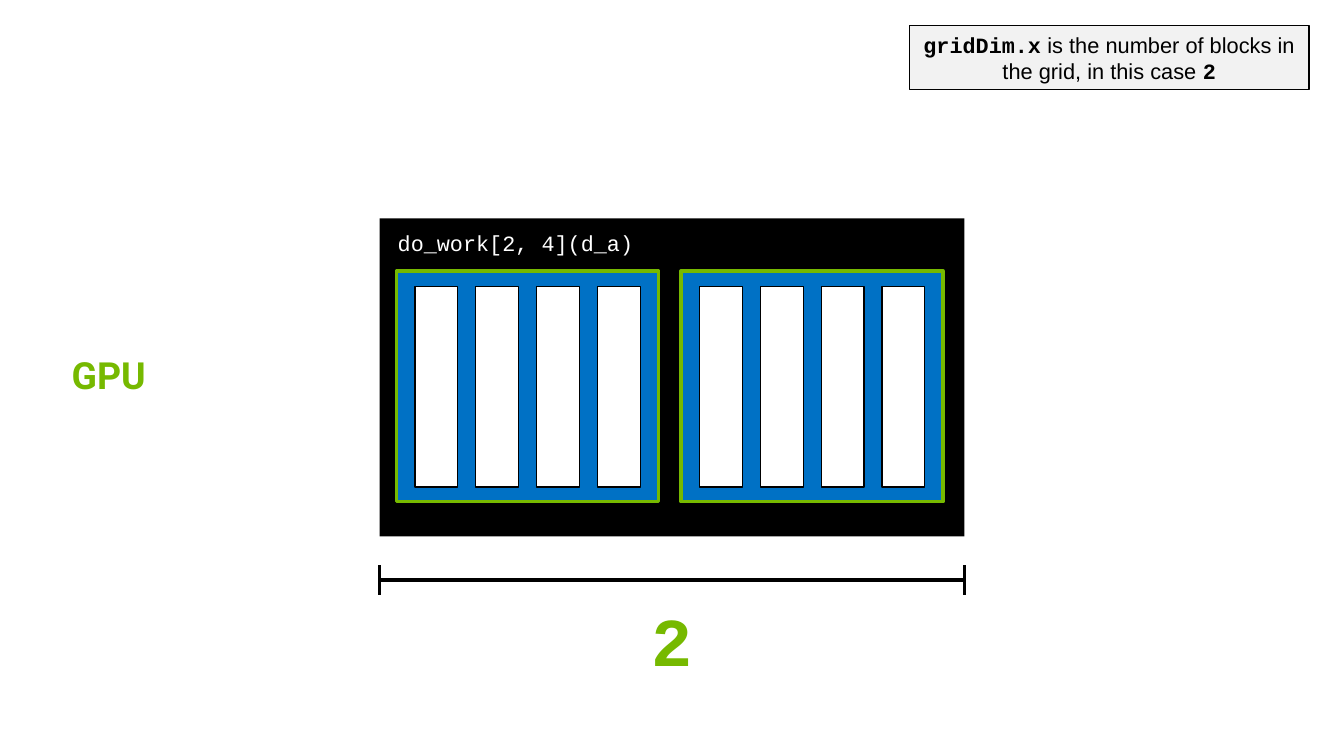
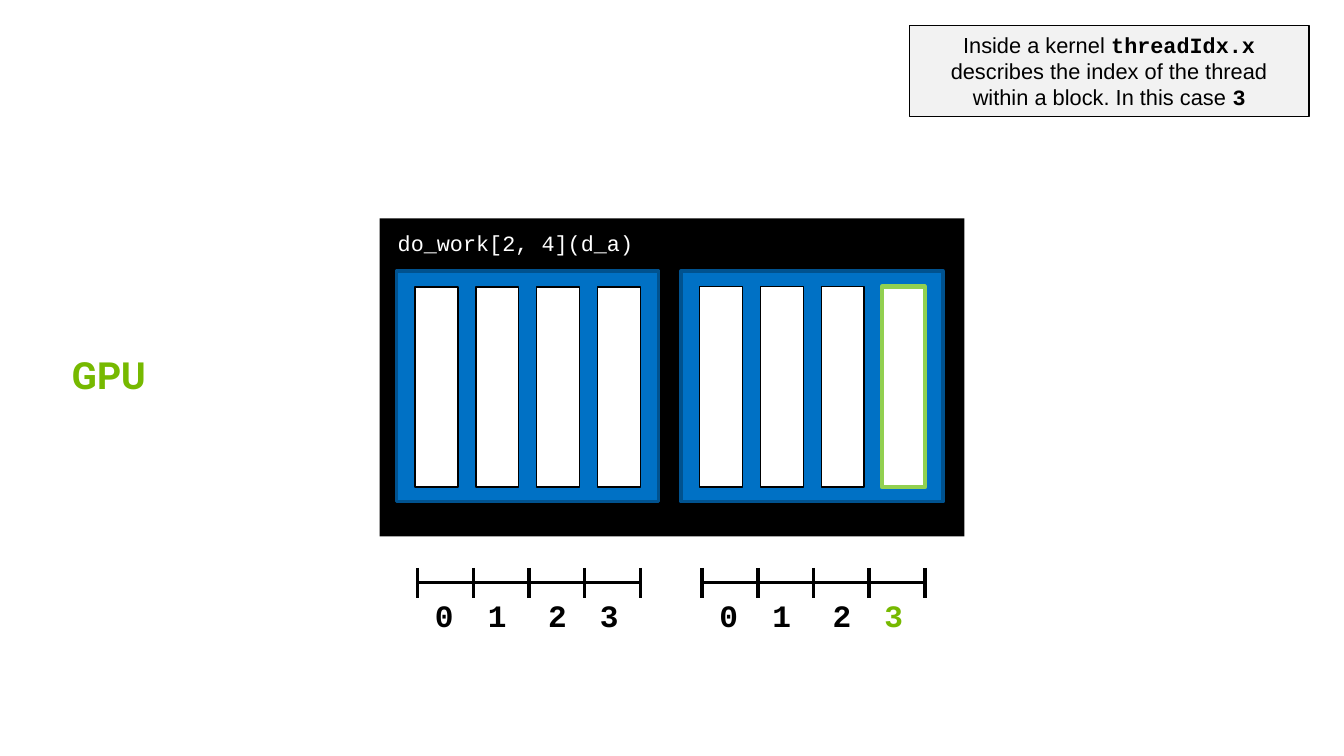
from lxml import etree
from pptx import Presentation
from pptx import util as u
from pptx.dml.color import RGBColor
from pptx.enum import shapes, text
from pptx.oxml import ns

BLACK = RGBColor(0x00, 0x00, 0x00)
WHITE = RGBColor(0xFF, 0xFF, 0xFF)
GREEN = RGBColor(0x76, 0xB9, 0x00)
LIME = RGBColor(0x92, 0xD0, 0x50)
BLUE = RGBColor(0x00, 0x71, 0xC5)
NAVY = RGBColor(0x00, 0x52, 0x8F)
PALE = RGBColor(0xF2, 0xF2, 0xF2)
SANS, MONO, TITLE_FONT = "Arial", "Courier New", "Roboto"

FRAME_LEFT, FRAME_TOP, FRAME_WIDTH, FRAME_HEIGHT = 244, 140.4, 376, 204.5
BLOCK_LEFTS = [254.9, 437.8]
THREADS = 4
THREAD_INSET, THREAD_PITCH = 11.9, 39.1
INDEX_OFFSETS = [11.9, 46, 84.7, 118.1]
RULER_INSET, RULER_PITCH = 13.6, 35.8


def write(box, runs, size=14, color=BLACK, bold=False,
          align=text.PP_ALIGN.CENTER, anchor=text.MSO_ANCHOR.MIDDLE, spacing=None):
    frame = box.text_frame
    frame.word_wrap = True
    frame.auto_size = text.MSO_AUTO_SIZE.NONE
    frame.vertical_anchor = anchor
    para = frame.paragraphs[0]
    para.alignment = align
    para.line_spacing = spacing
    for words, font, strong in runs:
        span = para.add_run()
        span.text = words
        span.font.name = font
        span.font.size = u.Pt(size)
        span.font.bold = bold or strong
        span.font.color.rgb = color


def draw_ruler(page, left, middle, pitch, segments):
    right = left + pitch * segments
    strokes = [(left, middle, right, middle)]
    for step in range(segments + 1):
        tick = left + step * pitch
        strokes.append((tick, middle - 9.6, tick, middle + 9.6))
    for ends in strokes:
        stroke = page.shapes.add_connector(
            shapes.MSO_CONNECTOR.STRAIGHT, *[u.Pt(end) for end in ends])
        stroke.line.color.rgb = BLACK
        stroke.line.width = u.Pt(2.25)
        etree.SubElement(stroke._element.spPr, ns.qn("a:effectLst"))


deck = Presentation()
deck.slide_width, deck.slide_height = u.Pt(864), u.Pt(486)

slides = [
    {
        "note": [("gridDim.x", MONO, True),
                 (" is the number of blocks in the grid, in this case ", SANS, False),
                 ("2", MONO, True)],
        "note_height": 41,
        "block_line": GREEN,
        "thread_widths": [0.75, 0.75],
        "chosen": None,
    },
    {
        "note": [("Inside a kernel ", SANS, False),
                 ("threadIdx.x", MONO, True),
                 (" describes the index of the thread within a block. In this case ", SANS, False),
                 ("3", MONO, True)],
        "note_height": 58.3,
        "block_line": NAVY,
        "thread_widths": [1, 0.75],
        "chosen": (1, 3),
    },
]

for content in slides:
    page = deck.slides.add_slide(deck.slide_layouts[5])
    title = page.shapes.title
    title.left, title.top, title.width, title.height = [
        u.Pt(length) for length in (38.9, 226, 69.8, 33.1)]
    write(title, [("GPU", TITLE_FONT, True)], size=24, color=GREEN,
          align=text.PP_ALIGN.LEFT, anchor=text.MSO_ANCHOR.BOTTOM, spacing=0.9)

    rectangles = [
        ((584.6, 16.6, 257, content["note_height"]), PALE, BLACK, 0.75,
         content["note"], {"anchor": text.MSO_ANCHOR.TOP}),
        ((FRAME_LEFT, FRAME_TOP, FRAME_WIDTH, FRAME_HEIGHT), BLACK, None, 0, [], {}),
        ((248.6, 143.6, 220.3, 24.5), BLACK, None, 0,
         [("do_work[2, 4](d_a)", MONO, False)],
         {"color": WHITE, "align": text.PP_ALIGN.LEFT}),
    ]
    for block, block_left in enumerate(BLOCK_LEFTS):
        rectangles.append(((block_left, 174.2, 168.5, 148.5), BLUE,
                           content["block_line"], 2, [], {}))
        for thread in range(THREADS):
            chosen = (block, thread) == content["chosen"]
            thread_left = block_left + THREAD_INSET + thread * THREAD_PITCH
            rectangles.append(((thread_left, 184.4, 27.6, 128.7), WHITE,
                               LIME if chosen else BLACK,
                               3 if chosen else content["thread_widths"][block], [], {}))

    for place, fill, line, width, runs, look in rectangles:
        box = page.shapes.add_shape(
            shapes.MSO_SHAPE.RECTANGLE, *[u.Pt(length) for length in place])
        box.shadow.inherit = False
        box.fill.solid()
        box.fill.fore_color.rgb = fill
        if line is None:
            box.line.fill.background()
        else:
            box.line.color.rgb = line
            box.line.width = u.Pt(width)
        if runs:
            write(box, runs, **look)

    labels = []
    if content["chosen"] is None:
        draw_ruler(page, FRAME_LEFT, 373, FRAME_WIDTH, 1)
        labels.append(((407.5, 380.9, 49, 60.5), "2", 44, GREEN))
    else:
        for block, block_left in enumerate(BLOCK_LEFTS):
            draw_ruler(page, block_left + RULER_INSET, 374.6, RULER_PITCH, THREADS)
            for index, offset in enumerate(INDEX_OFFSETS):
                color = GREEN if (block, index) == content["chosen"] else BLACK
                labels.append(((block_left + offset, 379.4, 37.4, 31.7),
                               str(index), 20, color))

    for place, words, size, color in labels:
        box = page.shapes.add_textbox(*[u.Pt(length) for length in place])
        write(box, [(words, MONO, True)], size=size, color=color)

deck.save("out.pptx")
